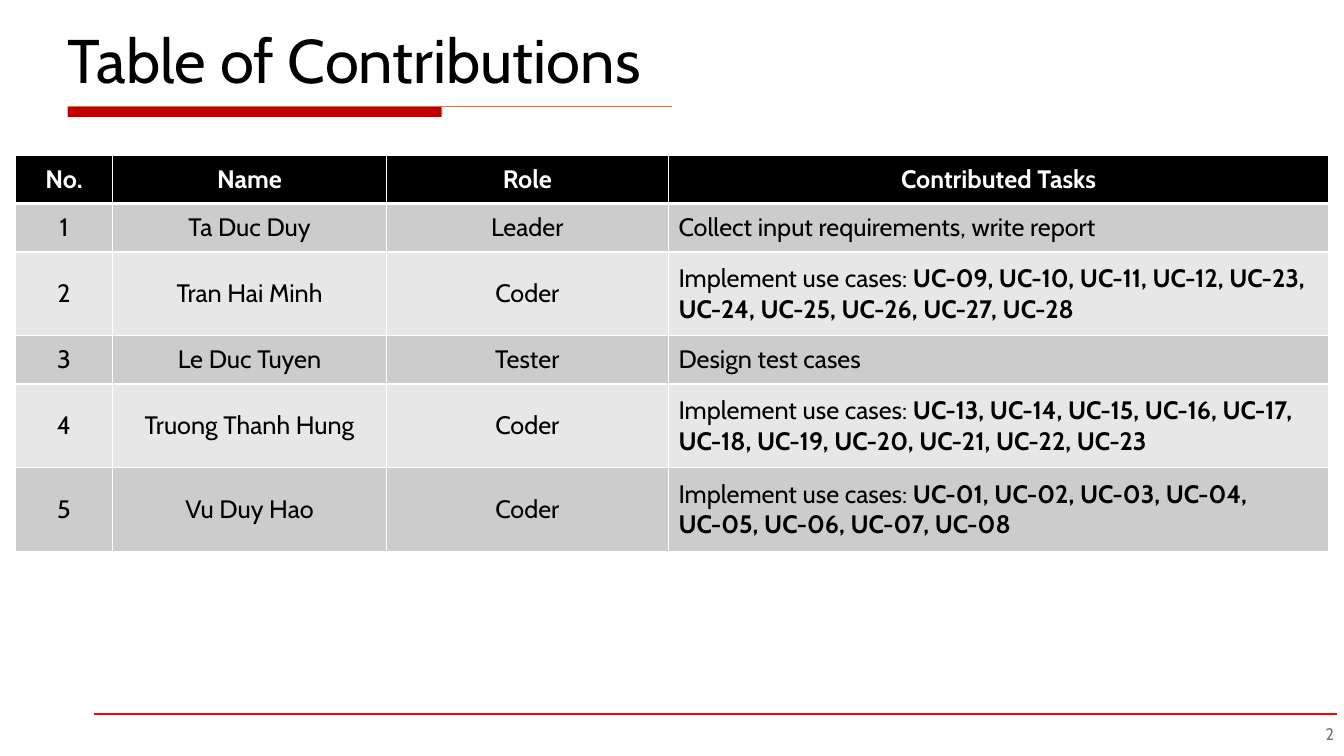
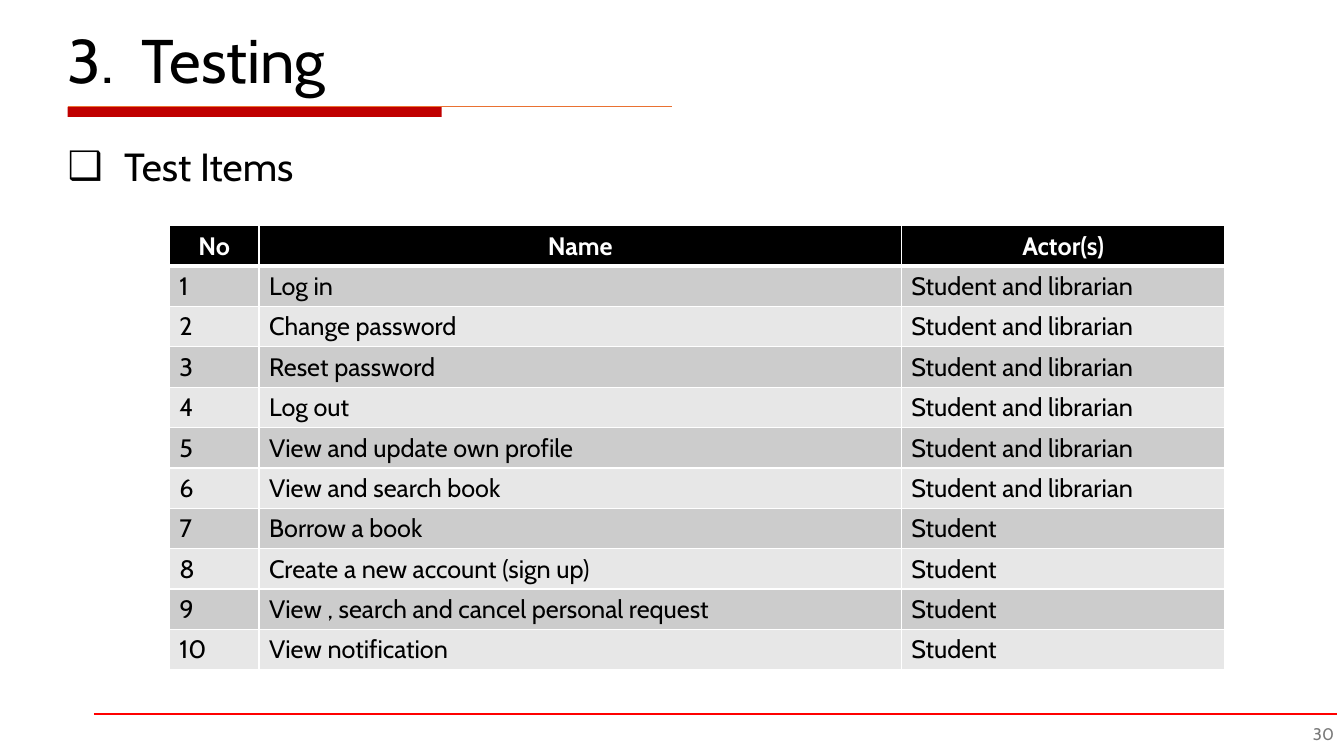
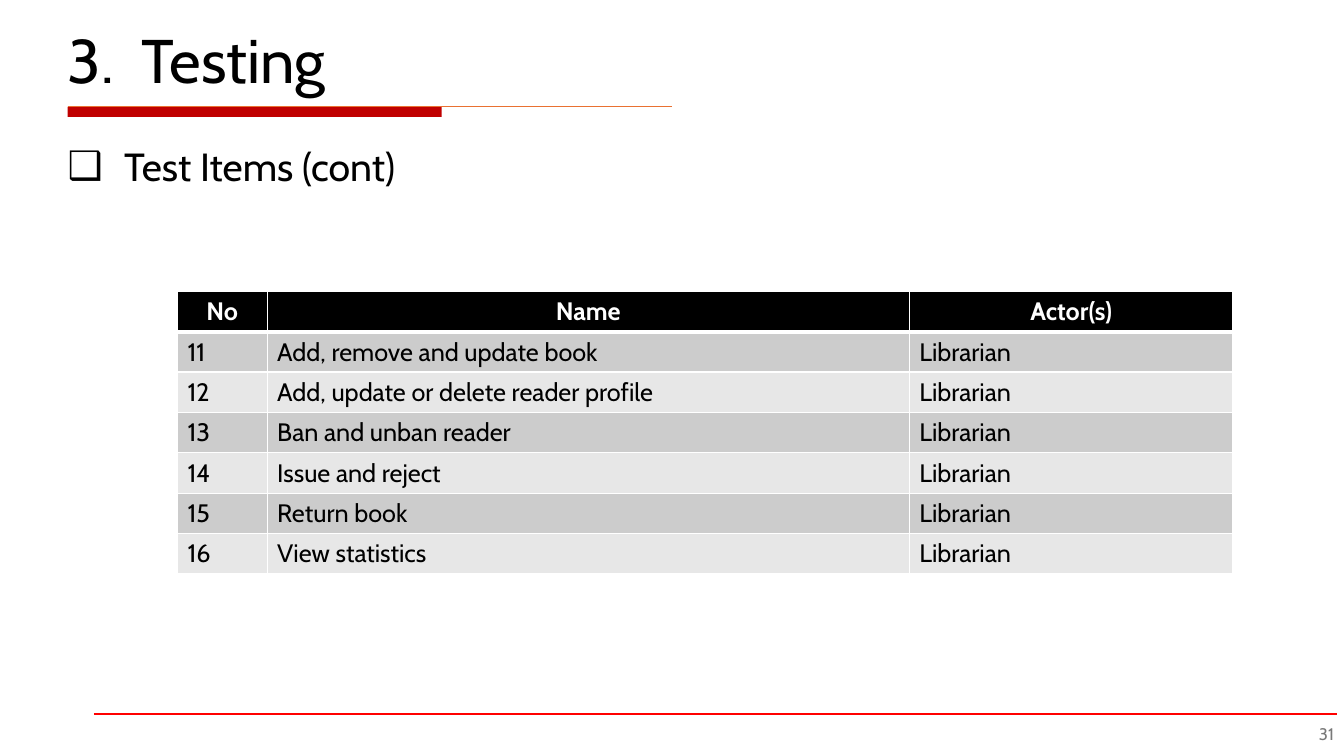
from dataclasses import dataclass

from lxml import etree
from pptx import Presentation
from pptx.dml.color import RGBColor
from pptx.enum.shapes import MSO_CONNECTOR, MSO_SHAPE
from pptx.enum.text import MSO_ANCHOR, MSO_AUTO_SIZE, PP_ALIGN
from pptx.oxml.ns import qn
from pptx.util import Inches, Pt

LEFT, CENTER, RIGHT = PP_ALIGN.LEFT, PP_ALIGN.CENTER, PP_ALIGN.RIGHT
TOP, MIDDLE = MSO_ANCHOR.TOP, MSO_ANCHOR.MIDDLE
STRAIGHT, RECTANGLE = MSO_CONNECTOR.STRAIGHT, MSO_SHAPE.RECTANGLE
NO_AUTOFIT = MSO_AUTO_SIZE.NONE

BLACK = RGBColor(0x00, 0x00, 0x00)
WHITE = RGBColor(0xFF, 0xFF, 0xFF)
DARK_RED = RGBColor(0xC0, 0x00, 0x00)
RED = RGBColor(0xFF, 0x00, 0x00)
ORANGE = RGBColor(0xE9, 0x71, 0x32)
GRAY = RGBColor(0x79, 0x79, 0x79)
BANDS = (RGBColor(0xCC, 0xCC, 0xCC), RGBColor(0xE7, 0xE7, 0xE7))
FONT = "Cabin"
USE_CASES = "Implement use cases: "
BOTH = "Student and librarian"

Cell = str | tuple[str, str]


@dataclass(frozen=True)
class Grid:
    left: float
    top: float
    widths: tuple[float, ...]
    heights: tuple[float, ...]
    aligns: tuple[PP_ALIGN, ...]
    anchor: MSO_ANCHOR
    rows: list[tuple[Cell, ...]]


@dataclass(frozen=True)
class Page:
    number: int
    title: str
    grid: Grid
    item: str = ""


def test_grid(left: float, top: float, first: int, items: list[tuple[str, str]]) -> Grid:
    rows = [(str(number), *item) for number, item in enumerate(items, first)]
    return Grid(left, top, (0.89, 6.37, 3.21), (0.4,) * (len(rows) + 1),
                (LEFT,) * 3, TOP, [("No", "Name", "Actor(s)"), *rows])


CONTRIBUTIONS = Grid(
    0.15, 1.54, (0.97, 2.71, 2.8, 6.55), (0.48, 0.48, 0.83, 0.48, 0.83, 0.83),
    (CENTER, CENTER, CENTER, LEFT), MIDDLE,
    [
        ("No.", "Name", "Role", "Contributed Tasks"),
        ("1", "Ta Duc Duy", "Leader", "Collect input requirements, write report"),
        ("2", "Tran Hai Minh", "Coder",
         (USE_CASES, "UC-09, UC-10, UC-11, UC-12, UC-23, UC-24, UC-25, UC-26, UC-27, UC-28")),
        ("3", "Le Duc Tuyen", "Tester", "Design test cases"),
        ("4", "Truong Thanh Hung", "Coder",
         (USE_CASES, "UC-13, UC-14, UC-15, UC-16, UC-17, UC-18, UC-19, UC-20, UC-21, UC-22, UC-23")),
        ("5", "Vu Duy Hao", "Coder",
         (USE_CASES, "UC-01, UC-02, UC-03, UC-04, UC-05, UC-06, UC-07, UC-08")),
    ],
)

SHARED_TESTS = test_grid(1.68, 2.24, 1, [
    ("Log in", BOTH),
    ("Change password", BOTH),
    ("Reset password", BOTH),
    ("Log out", BOTH),
    ("View and update own profile", BOTH),
    ("View and search book", BOTH),
    ("Borrow a book", "Student"),
    ("Create a new account (sign up)", "Student"),
    ("View , search and cancel personal request", "Student"),
    ("View notification", "Student"),
])

LIBRARIAN_TESTS = test_grid(1.76, 2.89, 11, [
    (name, "Librarian") for name in (
        "Add, remove and update book",
        "Add, update or delete reader profile",
        "Ban and unban reader",
        "Issue and reject",
        "Return book",
        "View statistics",
    )
])

PAGES = (
    Page(2, "Table of Contributions", CONTRIBUTIONS),
    Page(30, "3.  Testing", SHARED_TESTS, "Test Items"),
    Page(31, "3.  Testing", LIBRARIAN_TESTS, "Test Items (cont)"),
)


def write(frame, text: str, *, size: float, color: RGBColor = BLACK, bold: bool = False,
          align: PP_ALIGN = LEFT, anchor: MSO_ANCHOR | None = None, spacing: float = 1.0):
    if anchor is not None:
        frame.vertical_anchor = anchor
    para = frame.paragraphs[0]
    para.alignment = align
    para.line_spacing = spacing
    span = para.add_run()
    span.text = text
    span.font.name = FONT
    span.font.size = Pt(size)
    span.font.bold = bold
    span.font.color.rgb = color
    return para


def place(shape, left: float, top: float, width: float, height: float) -> None:
    shape.left, shape.top = Inches(left), Inches(top)
    shape.width, shape.height = Inches(width), Inches(height)


def add_rule(slide, left: float, right: float, top: float, color: RGBColor, width: float):
    rule = slide.shapes.add_connector(STRAIGHT, Inches(left), Inches(top), Inches(right), Inches(top))
    rule.line.color.rgb = color
    rule.line.width = Pt(width)
    etree.SubElement(rule.element.spPr, qn("a:effectLst"))
    return rule


def set_up_layout(layout, slide) -> None:
    place(layout.placeholders[0], 0.57, 0.23, 11.5, 0.81)
    place(layout.placeholders[1], 0.57, 1.41, 12.69, 5.37)
    bar = slide.shapes.add_shape(RECTANGLE, Inches(0.67), Inches(1.06), Inches(3.71), Inches(0.1))
    bar.shadow.inherit = False
    bar.fill.solid()
    bar.fill.fore_color.rgb = DARK_RED
    bar.line.fill.background()
    title_rule = add_rule(slide, 0.67, 6.67, 1.06, ORANGE, 0.75)
    footer_rule = add_rule(slide, 0.93, 13.26, 7.08, RED, 1.5)
    for number, shape in enumerate((bar, title_rule, footer_rule), 101):
        shape.element.xpath("./*/p:cNvPr")[0].set("id", str(number))
        layout.shapes.element.append(shape.element)


def add_borders(cell, top: float, bottom: float) -> None:
    properties = cell._tc.get_or_add_tcPr()
    sides = (("L", 1), ("R", 1), ("T", top), ("B", bottom))
    for position, (side, width) in enumerate(sides):
        line = etree.Element(qn(f"a:ln{side}"), w=str(Pt(width)))
        fill = etree.SubElement(line, qn("a:solidFill"))
        etree.SubElement(fill, qn("a:srgbClr"), val=str(WHITE))
        properties.insert(position, line)


def add_grid(slide, grid: Grid) -> None:
    table = slide.shapes.add_table(
        len(grid.heights), len(grid.widths), Inches(grid.left), Inches(grid.top),
        Inches(sum(grid.widths)), Inches(sum(grid.heights))).table
    table.horz_banding = False
    for column, width in zip(table.columns, grid.widths):
        column.width = Inches(width)
    for index, (row, height, values) in enumerate(zip(table.rows, grid.heights, grid.rows)):
        row.height = Inches(height)
        header = index == 0
        for cell, value, align in zip(row.cells, values, grid.aligns):
            cell.fill.solid()
            cell.fill.fore_color.rgb = BLACK if header else BANDS[(index - 1) % 2]
            cell.vertical_anchor = grid.anchor
            add_borders(cell, 3 if index == 1 else 1, 3 if header else 1)
            parts = (value,) if isinstance(value, str) else value
            for position, part in enumerate(parts):
                write(cell.text_frame, part, size=18, color=WHITE if header else BLACK,
                      bold=header or position == 1, align=CENTER if header else align)


def add_item(body, text: str) -> None:
    body.text_frame.auto_size = NO_AUTOFIT
    para = write(body.text_frame, text, size=28, anchor=TOP, spacing=0.9)
    para.space_before = Pt(10)
    properties = para._p.get_or_add_pPr()
    properties.set("marL", str(Inches(0.56)))
    properties.set("indent", str(Inches(-0.56)))
    etree.SubElement(properties, qn("a:buChar"), char="❑")


def fill_page(slide, page: Page) -> None:
    title, body = slide.placeholders
    title.text_frame.auto_size = NO_AUTOFIT
    write(title.text_frame, page.title, size=44, anchor=MIDDLE, spacing=0.9)
    if page.item:
        add_item(body, page.item)
    else:
        body.element.getparent().remove(body.element)
    box = slide.shapes.add_textbox(Inches(12.84), Inches(7.08), Inches(0.49), Inches(0.4))
    box.text_frame.word_wrap = True
    write(box.text_frame, str(page.number), size=12, color=GRAY, align=RIGHT, anchor=MIDDLE)
    add_grid(slide, page.grid)


def main() -> None:
    deck = Presentation()
    deck.slide_width, deck.slide_height = Inches(13.33), Inches(7.5)
    layout = deck.slide_layouts[1]
    slides = [deck.slides.add_slide(layout) for _ in PAGES]
    set_up_layout(layout, slides[0])
    for slide, page in zip(slides, PAGES):
        fill_page(slide, page)
    deck.save("out.pptx")


if __name__ == "__main__":
    main()
